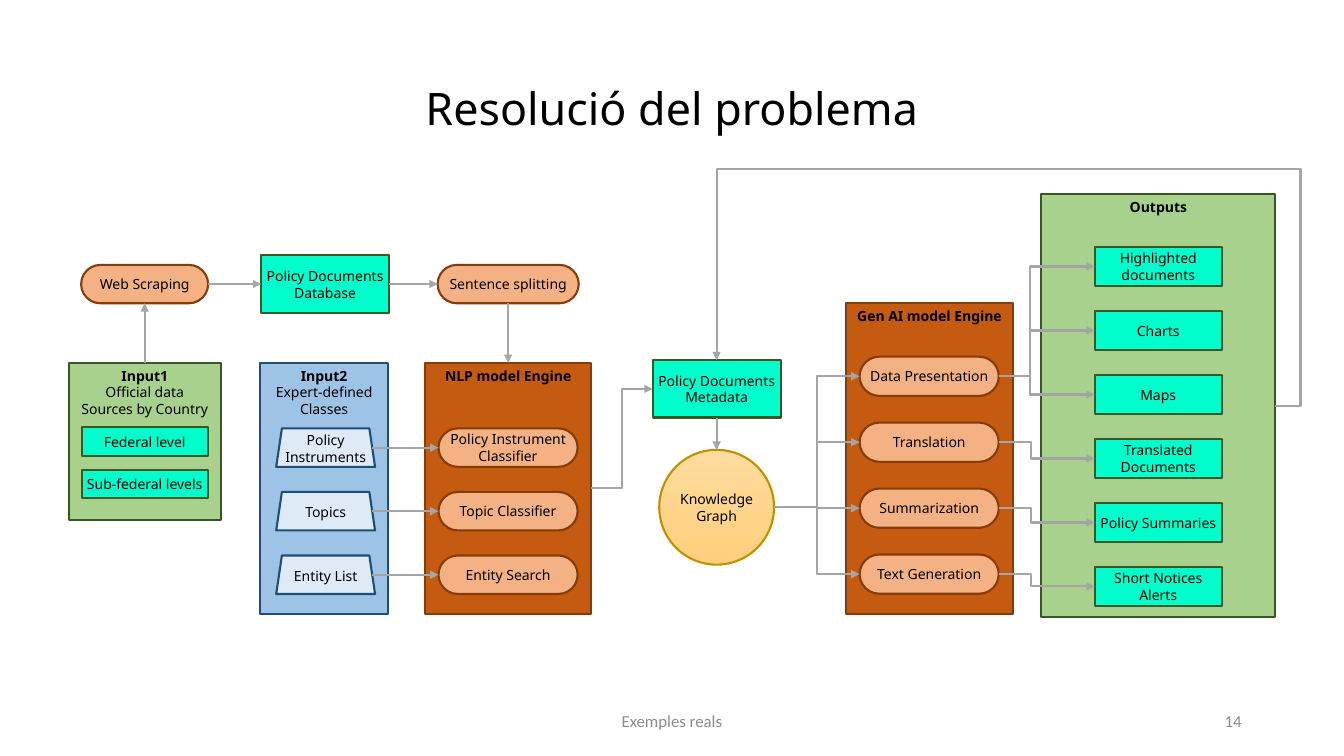
from dataclasses import dataclass

from pptx import Presentation
from pptx.dml.color import RGBColor
from pptx.enum.shapes import MSO_CONNECTOR, MSO_SHAPE
from pptx.enum.text import MSO_ANCHOR, MSO_AUTO_SIZE, PP_ALIGN
from pptx.oxml.ns import qn
from pptx.oxml.xmlchemy import OxmlElement
from pptx.util import Pt

RECTANGLE = MSO_SHAPE.RECTANGLE
ROUNDED = MSO_SHAPE.ROUNDED_RECTANGLE
TRAPEZOID = MSO_SHAPE.TRAPEZOID
OVAL = MSO_SHAPE.OVAL
STRAIGHT = MSO_CONNECTOR.STRAIGHT
ELBOW = MSO_CONNECTOR.ELBOW
ANCHOR_TOP = MSO_ANCHOR.TOP
ANCHOR_MIDDLE = MSO_ANCHOR.MIDDLE
CENTER = PP_ALIGN.CENTER
RIGHT_ALIGNED = PP_ALIGN.RIGHT
GROW = MSO_AUTO_SIZE.SHAPE_TO_FIT_TEXT

TOP, LEFT, BOTTOM, RIGHT = range(4)
OVAL_RIGHT = 6  # an oval has eight connection sites
TITLE_FONT, FOOTER_FONT = "Noto Sans", "Calibri"
COLORS = {
    "text": "000000", "footer": "8C8C8C", "arrow": "A5A5A5",
    "green": "A9D18E", "dark green": "385723", "mint": "00FFCC",
    "blue": "9DC3E6", "pale blue": "DEEBF7", "dark blue": "1F4E79",
    "rust": "C55A11", "peach": "F4B183", "brown": "843C0B",
    "light gold": "FFDB9E", "gold": "FFD07C", "dark gold": "BF9000",
}


@dataclass(frozen=True)
class Style:
    outline: int
    fill: str
    line: str
    side_inset: float = 3
    corner: float | None = None
    anchor: int = ANCHOR_MIDDLE


@dataclass(frozen=True)
class Block:
    text: str
    left: float
    top: float
    width: float
    height: float
    style: Style
    heading: str = ""


@dataclass(frozen=True)
class Arrow:
    start: str
    start_side: int
    end: str
    end_side: int
    bends: tuple[float, ...] = ()  # fractions of the width, then of the height


GREEN_PANEL = Style(RECTANGLE, "green", "dark green", anchor=ANCHOR_TOP)
BLUE_PANEL = Style(RECTANGLE, "blue", "dark blue", anchor=ANCHOR_TOP)
ENGINE = Style(RECTANGLE, "rust", "brown", anchor=ANCHOR_TOP)
DATA = Style(RECTANGLE, "mint", "dark green")
LEVEL = Style(RECTANGLE, "mint", "dark green", 0)
STEP = Style(ROUNDED, "peach", "brown", 0, 0.5)
CLASSES = Style(TRAPEZOID, "pale blue", "dark blue", 0, 0.148)
GRAPH = Style(OVAL, "light gold", "dark gold", 0)


def column(texts: list[str], left: float, top: float, width: float,
           height: float, pitch: float, style: Style) -> list[Block]:
    return [Block(text, left, top + row * pitch, width, height, style)
            for row, text in enumerate(texts)]


# Contents
LEVELS = ["Federal level", "Sub-federal levels"]
TOPICS = ["Policy Instruments", "Topics", "Entity List"]
CLASSIFIERS = ["Policy Instrument Classifier", "Topic Classifier", "Entity Search"]
GENERATORS = ["Data Presentation", "Translation", "Summarization", "Text Generation"]
OUTPUTS = ["Highlighted documents", "Charts", "Maps", "Translated Documents",
           "Policy Summaries", "Short Notices Alerts"]
DATABASE, METADATA = "Policy Documents Database", "Policy Documents Metadata"

BLOCKS = [
    Block("", 604.5, 216.7, 118.8, 221.8, ENGINE, "Gen AI model Engine"),
    Block("", 303.6, 259.2, 118.8, 179.3, ENGINE, "NLP model Engine"),
    Block("Official data\nSources by Country", 49, 259.2, 108.7, 112.3,
          GREEN_PANEL, "Input1"),
    Block("Expert-defined Classes", 185.8, 259.2, 91.4, 179.3, BLUE_PANEL, "Input2"),
    Block("", 743.8, 138.8, 167.2, 301.9, GREEN_PANEL, "Outputs"),
    Block("Web Scraping", 58, 189.2, 90.7, 27.4, STEP),
    Block(DATABASE, 186.5, 182.4, 91.4, 41, DATA),
    Block("Sentence splitting", 312.6, 189.2, 100.8, 27.4, STEP),
    Block(METADATA, 466.2, 257.3, 91.4, 41, DATA),
    Block("Knowledge Graph", 470.9, 321.3, 82, 82, GRAPH),
    *column(LEVELS, 58.35, 305.3, 90, 20.2, 30.2, LEVEL),
    *column(TOPICS, 197.3, 306, 70.6, 27.5, 45.4, CLASSES),
    *column(CLASSIFIERS, 313.2, 306, 99.4, 27.5, 45.4, STEP),
    *column(GENERATORS, 614, 254.8, 99.4, 28, 47.1, STEP),
    *column(OUTPUTS, 782, 176.4, 90.7, 28, 45.7, DATA),
]

ARROWS = [
    Arrow("Input1", TOP, "Web Scraping", BOTTOM),
    Arrow("Web Scraping", RIGHT, DATABASE, LEFT),
    Arrow(DATABASE, RIGHT, "Sentence splitting", LEFT),
    Arrow("Sentence splitting", BOTTOM, "NLP model Engine", TOP),
    Arrow(METADATA, BOTTOM, "Knowledge Graph", TOP),
    *[Arrow(topic, RIGHT, step, LEFT) for topic, step in zip(TOPICS, CLASSIFIERS)],
    Arrow("NLP model Engine", RIGHT, METADATA, LEFT, (0.5,)),
    *[Arrow("Knowledge Graph", RIGHT, step, LEFT, (0.5,)) for step in GENERATORS],
    *[Arrow(GENERATORS[0], RIGHT, output, LEFT, (0.33,)) for output in OUTPUTS[:3]],
    *[Arrow(step, RIGHT, output, LEFT, (0.34,))
      for step, output in zip(GENERATORS[1:], OUTPUTS[3:])],
    Arrow("Outputs", RIGHT, METADATA, TOP, (-0.045, 5.21)),
]


def rgb(name: str) -> RGBColor:
    return RGBColor.from_string(COLORS[name])


def add_span(para, text: str, size: float, font: str = TITLE_FONT,
             color: str = "text", bold: bool = False) -> None:
    span = para.add_run()
    span.text = text
    span.font.size, span.font.name, span.font.bold = Pt(size), font, bold
    span.font.color.rgb = rgb(color)


def add_block(page, block: Block):
    style = block.style
    shape = page.shapes.add_shape(style.outline, Pt(block.left), Pt(block.top),
                                  Pt(block.width), Pt(block.height))
    shape.shadow.inherit = False
    if style.corner is not None:
        shape.adjustments[0] = style.corner
    if style is GRAPH:
        shape.fill.gradient()
        shape.fill.gradient_angle = 270
        for stop, color in zip(shape.fill.gradient_stops, ("light gold", "gold")):
            stop.color.rgb = rgb(color)
    else:
        shape.fill.solid()
        shape.fill.fore_color.rgb = rgb(style.fill)
    shape.line.color.rgb, shape.line.width = rgb(style.line), Pt(1.5)
    frame = shape.text_frame
    frame.word_wrap, frame.vertical_anchor = True, style.anchor
    frame.margin_left = frame.margin_right = Pt(style.side_inset)
    frame.margin_top = frame.margin_bottom = Pt(3)
    parts = [part for part in ((block.heading, True), (block.text, False)) if part[0]]
    for index, (text, bold) in enumerate(parts):
        para = frame.add_paragraph() if index else frame.paragraphs[0]
        para.alignment = CENTER
        for row, line in enumerate(text.split("\n")):
            if row:
                para.add_line_break()
            add_span(para, line, 10, bold=bold)
    return shape


def add_arrow(page, arrow: Arrow, shapes: dict) -> None:
    start, end = shapes[arrow.start], shapes[arrow.end]
    # A slanted side meets its arrow a little inside the frame
    begin_x = start.left + start.width - Pt(2)
    begin_y = start.top + start.height // 2
    connector = page.shapes.add_connector(ELBOW if arrow.bends else STRAIGHT,
                                          begin_x, begin_y, end.left, end.top)
    if arrow.start not in TOPICS:
        connector.begin_connect(start, arrow.start_side)
    connector.end_connect(end, arrow.end_side)
    element = connector._element
    if arrow.start == "Knowledge Graph":
        element.find(".//" + qn("a:stCxn")).set("idx", str(OVAL_RIGHT))
    if arrow.bends:
        geometry = element.spPr.find(qn("a:prstGeom"))
        geometry.set("prst", f"bentConnector{len(arrow.bends) + 2}")
        guides = geometry.find(qn("a:avLst"))
        for number, bend in enumerate(arrow.bends, 1):
            guide = OxmlElement("a:gd")
            guide.set("name", f"adj{number}")
            guide.set("fmla", f"val {round(bend * 100000)}")
            guides.append(guide)
    connector.line.color.rgb, connector.line.width = rgb("arrow"), Pt(1.5)
    head = OxmlElement("a:tailEnd")
    head.set("type", "triangle")
    element.spPr.find(qn("a:ln")).append(head)
    element.spPr.append(OxmlElement("a:effectLst"))


def add_footer(page, text: str, left: float, width: float, alignment: int) -> None:
    box = page.shapes.add_textbox(Pt(left), Pt(500.4), Pt(width), Pt(28.8))
    frame = box.text_frame
    frame.word_wrap, frame.vertical_anchor = True, ANCHOR_MIDDLE
    frame.paragraphs[0].alignment = alignment
    add_span(frame.paragraphs[0], text, 12, FOOTER_FONT, "footer")


def main() -> None:
    deck = Presentation()
    deck.slide_width, deck.slide_height = Pt(960), Pt(540)
    page = deck.slides.add_slide(deck.slide_layouts[5])

    # Title
    title = page.shapes.title
    title.left, title.top, title.width, title.height = Pt(57), Pt(54), Pt(846), Pt(46)
    frame = title.text_frame
    frame.word_wrap, frame.auto_size, frame.vertical_anchor = True, GROW, ANCHOR_TOP
    frame.paragraphs[0].alignment = CENTER
    add_span(frame.paragraphs[0], "Resolució del problema", 32)

    # Footer and page number
    add_footer(page, "Exemples reals", 318, 324, CENTER)
    add_footer(page, "14", 678, 216, RIGHT_ALIGNED)

    # Flow diagram
    shapes = {block.heading or block.text: add_block(page, block) for block in BLOCKS}
    for arrow in ARROWS:
        add_arrow(page, arrow, shapes)
    deck.save("out.pptx")


if __name__ == "__main__":
    main()
